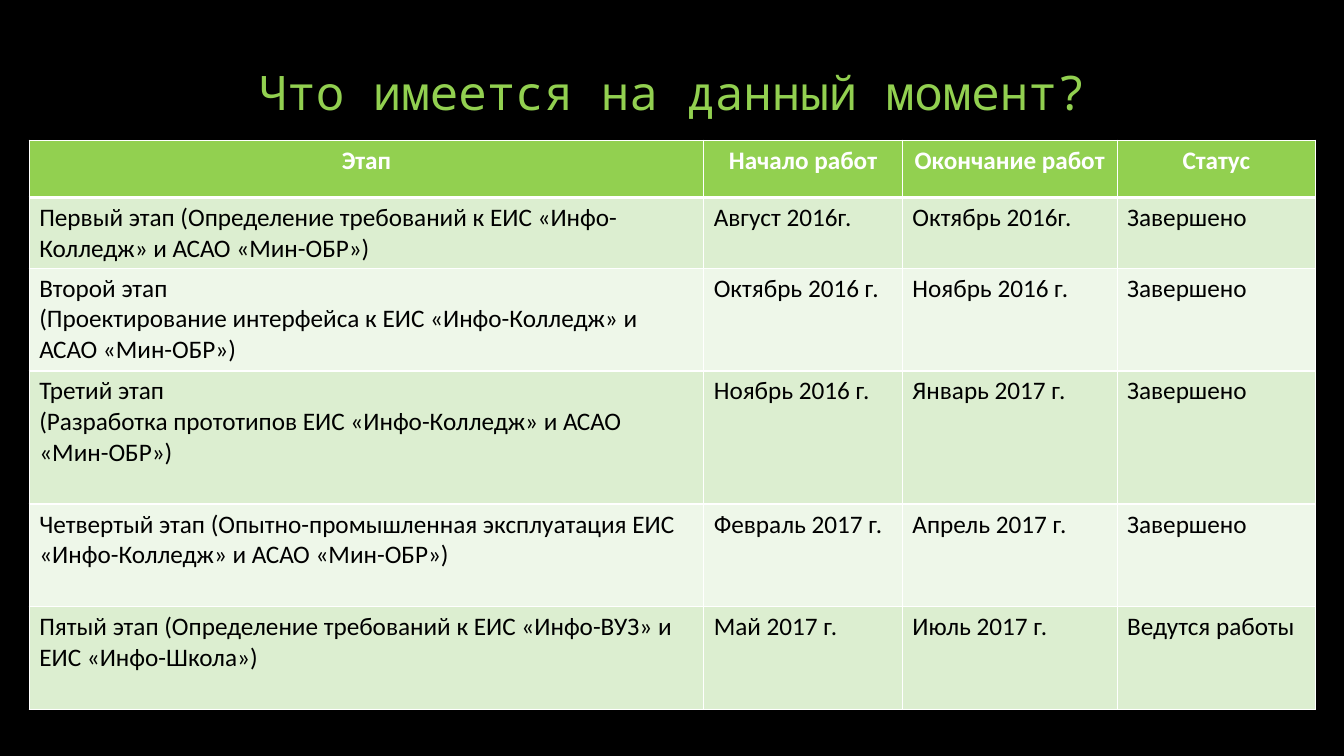
"""Builds a slide with a table of project stages, their dates and status."""
from lxml.etree import SubElement
from pptx import Presentation
from pptx.dml.color import RGBColor
from pptx.enum.text import MSO_ANCHOR as Anchor, PP_ALIGN as Align
from pptx.oxml.ns import qn
from pptx.util import Inches, Pt

GREEN, WHITE, BLACK = "92D050", "FFFFFF", "000000"
BANDS = ["DCEED0", "EEF7E9"]


def paint(fill, color):
    fill.solid()
    fill.fore_color.rgb = RGBColor.from_string(color)


def write(paragraph, text, font, size, color, bold=False, align=Align.LEFT):
    paragraph.text = text
    paragraph.alignment = align
    for run in paragraph.runs:
        run.font.name = font
        run.font.size = Pt(size)
        run.font.bold = bold
        paint(run.font.fill, color)


prs = Presentation()
prs.slide_width, prs.slide_height = Inches(13.33), Inches(7.5)
slide = prs.slides.add_slide(prs.slide_layouts[6])
paint(slide.background.fill, BLACK)

title = slide.shapes.add_textbox(Inches(1.67), Inches(0), Inches(10), Inches(1.25))
title.text_frame.word_wrap = True
title.text_frame.vertical_anchor = Anchor.BOTTOM
heading = title.text_frame.paragraphs[0]
write(heading, "Что имеется на данный момент?", "Noto Sans Mono", 34, GREEN, align=Align.CENTER)
heading.line_spacing = 0.9

stages = [
    ("Этап", "Начало работ", "Окончание работ", "Статус"),
    ("Первый этап (Определение требований к ЕИС «Инфо-Колледж» и АСАО «Мин-ОБР»)",
     "Август 2016г.", "Октябрь 2016г.", "Завершено"),
    ("Второй этап\n(Проектирование интерфейса к ЕИС «Инфо-Колледж» и АСАО «Мин-ОБР»)",
     "Октябрь 2016 г.", "Ноябрь 2016 г.", "Завершено"),
    ("Третий этап\n(Разработка прототипов ЕИС «Инфо-Колледж» и АСАО «Мин-ОБР»)",
     "Ноябрь 2016 г.", "Январь 2017 г.", "Завершено"),
    ("Четвертый этап (Опытно-промышленная эксплуатация ЕИС «Инфо-Колледж» и АСАО «Мин-ОБР»)",
     "Февраль 2017 г.", "Апрель 2017 г.", "Завершено"),
    ("Пятый этап (Определение требований к ЕИС «Инфо-ВУЗ» и ЕИС «Инфо-Школа»)",
     "Май 2017 г.", "Июль 2017 г.", "Ведутся работы"),
]
widths = [6.69, 1.97, 2.13, 1.97]
heights = [0.57, 0.7, 1.02, 1.32, 1.02, 1.02]

schedule = slide.shapes.add_table(
    len(heights), len(widths), Inches(0.29), Inches(1.39),
    Inches(sum(widths)), Inches(sum(heights))).table
for column, width in zip(schedule.columns, widths):
    column.width = Inches(width)
for row, height in zip(schedule.rows, heights):
    row.height = Inches(height)

for r, stage in enumerate(stages):
    header = r == 0
    for c, text in enumerate(stage):
        cell = schedule.cell(r, c)
        write(cell.text_frame.paragraphs[0], text, "Calibri", 18,
              WHITE if header else BLACK, header, Align.CENTER if header else Align.LEFT)
        properties = cell._tc.get_or_add_tcPr()
        for side in ("lnL", "lnR", "lnT", "lnB"):
            thick = (r, side) in [(0, "lnB"), (1, "lnT")]
            border = SubElement(properties, qn(f"a:{side}"), w=str(Pt(3 if thick else 1)))
            SubElement(SubElement(border, qn("a:solidFill")), qn("a:srgbClr"), val=WHITE)
        paint(cell.fill, GREEN if header else BANDS[(r - 1) % 2])

prs.save("out.pptx")
